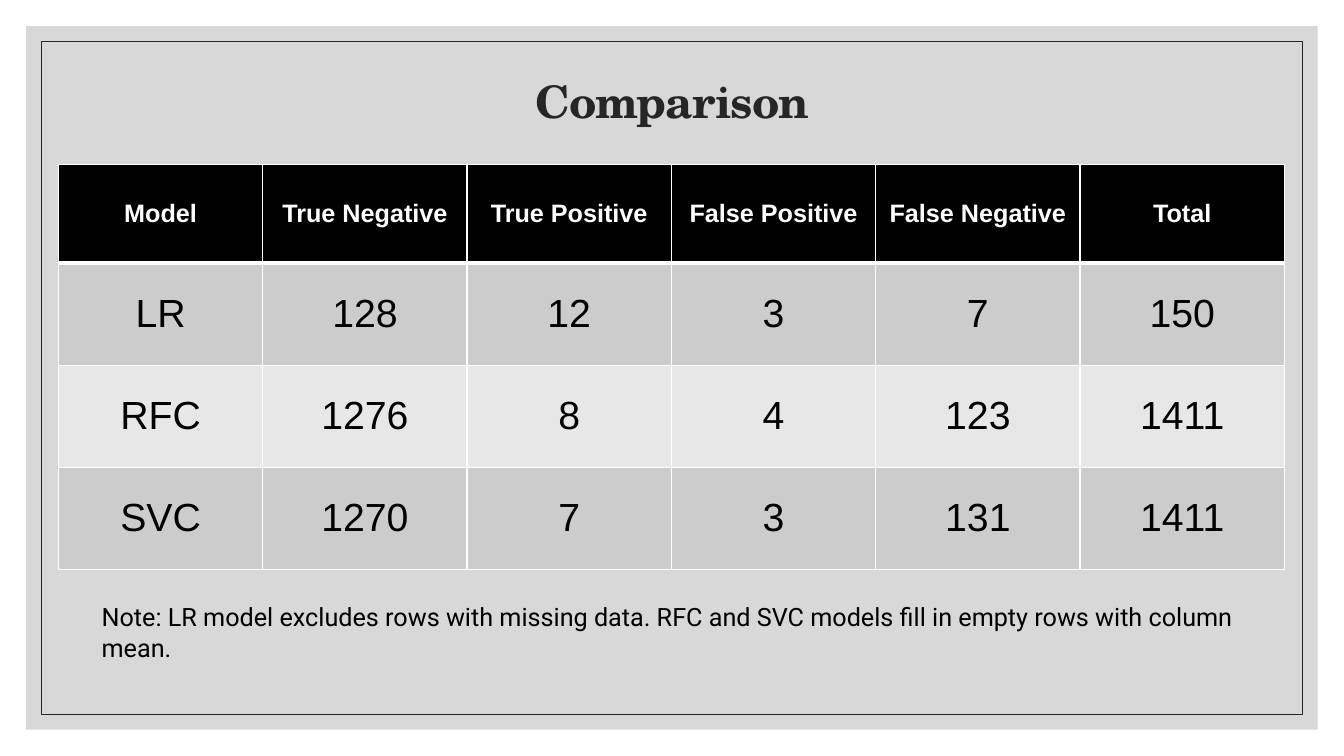
from dataclasses import dataclass

from lxml import etree
from pptx import Presentation
from pptx.dml.color import RGBColor
from pptx.enum.shapes import MSO_SHAPE
from pptx.enum.text import MSO_ANCHOR, PP_ALIGN
from pptx.oxml.ns import qn
from pptx.util import Inches, Pt

RECTANGLE = MSO_SHAPE.RECTANGLE
MIDDLE = MSO_ANCHOR.MIDDLE
TOP = MSO_ANCHOR.TOP
CENTER = PP_ALIGN.CENTER
LEFT = PP_ALIGN.LEFT


@dataclass(frozen=True)
class Theme:
    panel: str = "BFBFBF"
    panel_opacity: int = 60
    ink: str = "262626"
    black: str = "000000"
    white: str = "FFFFFF"
    bands: tuple = ("CCCCCC", "E7E7E7")
    title_font: str = "TeX Gyre Schola"
    table_font: str = "Arial"
    note_font: str = "Roboto"
    title_size: int = 32
    text_size: int = 18
    value_size: int = 28
    frame_line: float = 0.5
    cell_line: int = 1
    header_line: int = 3


THEME = Theme()
PAGE_WIDTH, PAGE_HEIGHT = 13.33, 7.5

RESULTS = [
    ("Model", "True Negative", "True Positive", "False Positive", "False Negative", "Total"),
    ("LR", "128", "12", "3", "7", "150"),
    ("RFC", "1276", "8", "4", "123", "1411"),
    ("SVC", "1270", "7", "3", "131", "1411"),
]
NOTE = ("Note: LR model excludes rows with missing data. "
        "RFC and SVC models fill in empty rows with column mean.")


def set_all(target, values):
    for name, value in values.items():
        setattr(target, name, value)


def write(frame, text, font, size, color, bold=False, align=LEFT):
    para = frame.paragraphs[0]
    para.alignment = align
    span = para.add_run()
    span.text = text
    set_all(span.font, {"name": font, "size": Pt(size), "bold": bold})
    span.font.color.rgb = RGBColor.from_string(color)
    return para, span


def add_panel(page, inset):
    box = page.shapes.add_shape(
        RECTANGLE, Inches(inset), Inches(inset),
        Inches(PAGE_WIDTH - 2 * inset), Inches(PAGE_HEIGHT - 2 * inset))
    box.shadow.inherit = False
    return box


def add_backdrop(page):
    panel = add_panel(page, 0.26)
    panel.fill.solid()
    panel.fill.fore_color.rgb = RGBColor.from_string(THEME.panel)
    panel.line.fill.background()
    color = panel.element.spPr.find(".//" + qn("a:srgbClr"))
    etree.SubElement(color, qn("a:alpha"), val=str(THEME.panel_opacity * 1000))

    frame = add_panel(page, 0.41)
    frame.fill.background()
    frame.line.color.rgb = RGBColor.from_string(THEME.ink)
    frame.line.width = Pt(THEME.frame_line)


def place_title(page, left, top, width, height):
    title = page.shapes.title
    title.element.getparent().append(title.element)
    set_all(title, {"left": Inches(left), "top": Inches(top),
                    "width": Inches(width), "height": Inches(height)})
    title.text_frame.vertical_anchor = MIDDLE
    para, span = write(title.text_frame, "Comparison", THEME.title_font,
                       THEME.title_size, THEME.ink, True, CENTER)
    para.line_spacing = 0.9
    span.font._element.set("spc", "-70")


def set_borders(cell, widths):
    properties = cell._tc.get_or_add_tcPr()
    for side, width in widths.items():
        line = etree.SubElement(properties, qn("a:ln" + side), w=str(Pt(width)))
        fill = etree.SubElement(line, qn("a:solidFill"))
        etree.SubElement(fill, qn("a:srgbClr"), val=THEME.white)


def format_cell(cell, text, row):
    header = row == 0
    set_borders(cell, {
        "L": THEME.cell_line,
        "R": THEME.cell_line,
        "T": THEME.header_line if row == 1 else THEME.cell_line,
        "B": THEME.header_line if header else THEME.cell_line,
    })
    cell.fill.solid()
    background = THEME.black if header else THEME.bands[(row - 1) % 2]
    cell.fill.fore_color.rgb = RGBColor.from_string(background)
    cell.vertical_anchor = MIDDLE
    size = THEME.text_size if header else THEME.value_size
    color = THEME.white if header else THEME.black
    write(cell.text_frame, text, THEME.table_font, size, color, header, CENTER)


def add_results(page, left, top, width, height, header_height):
    table = page.shapes.add_table(
        len(RESULTS), len(RESULTS[0]), Inches(left), Inches(top),
        Inches(width), Inches(height)).table
    body_height = (height - header_height) / (len(RESULTS) - 1)
    for row, texts in enumerate(RESULTS):
        table.rows[row].height = Inches(body_height if row else header_height)
        for column, text in enumerate(texts):
            format_cell(table.cell(row, column), text, row)


def add_note(page, left, top, width, height):
    box = page.shapes.add_textbox(
        Inches(left), Inches(top), Inches(width), Inches(height))
    set_all(box.text_frame, {"word_wrap": True, "vertical_anchor": TOP})
    write(box.text_frame, NOTE, THEME.note_font, THEME.text_size, THEME.black)


def build_comparison(deck):
    page = deck.slides.add_slide(deck.slide_layouts[5])
    add_backdrop(page)
    place_title(page, 1.17, 0.7, 11, 0.67)
    add_results(page, 0.58, 1.63, 12.16, 4.02, 0.98)
    add_note(page, 0.91, 5.92, 11.51, 0.7)


deck = Presentation()
set_all(deck, {"slide_width": Inches(PAGE_WIDTH), "slide_height": Inches(PAGE_HEIGHT)})
build_comparison(deck)
deck.save("out.pptx")
